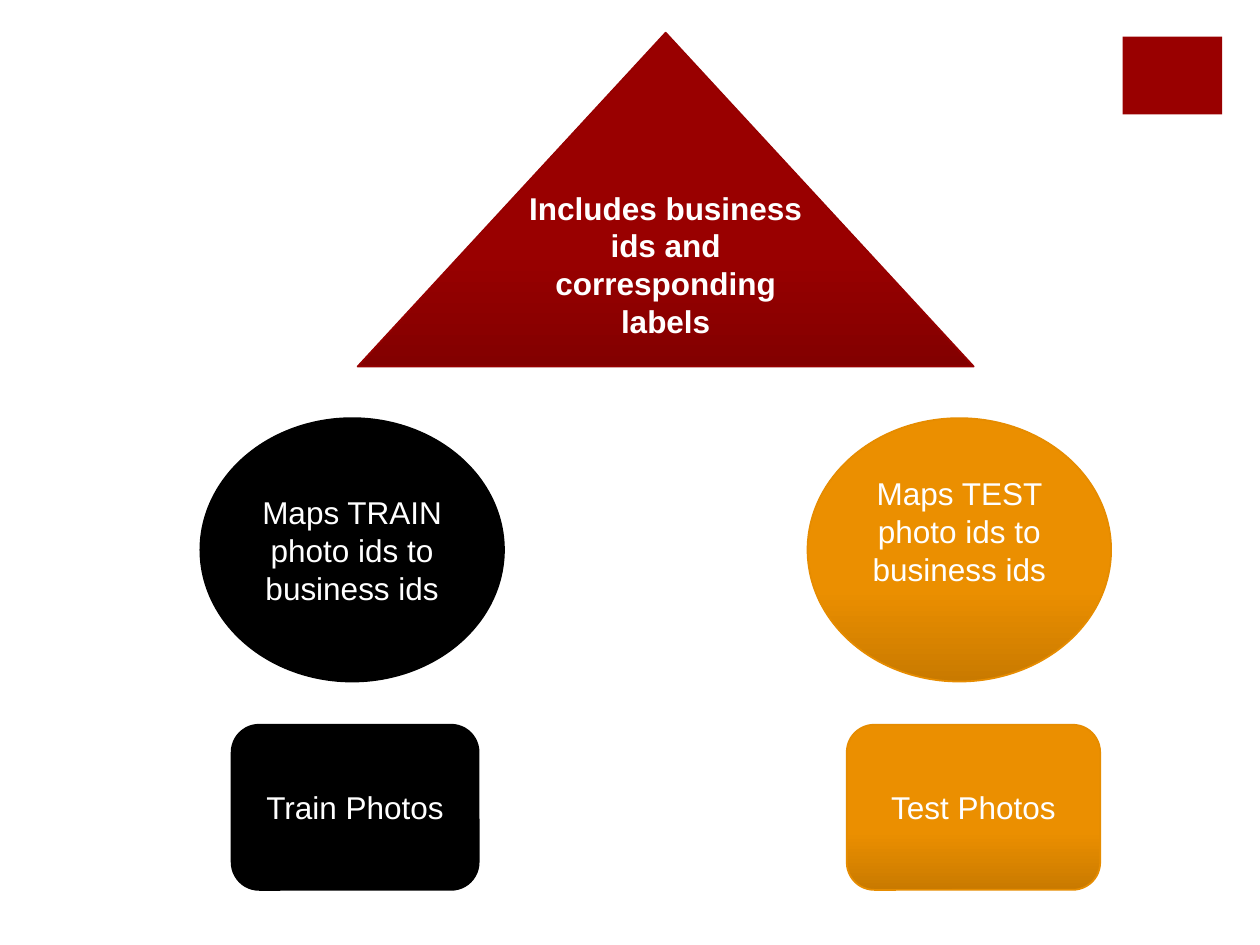
"""Build a slide that shows how business labels, photo ids and photos relate."""
from pptx import Presentation
from pptx.dml.color import RGBColor
from pptx.enum.shapes import MSO_SHAPE
from pptx.enum.text import MSO_ANCHOR, PP_ALIGN
from pptx.util import Cm, Pt

RECTANGLE = MSO_SHAPE.RECTANGLE
ROUNDED = MSO_SHAPE.ROUNDED_RECTANGLE
OVAL = MSO_SHAPE.OVAL
TRIANGLE = MSO_SHAPE.ISOSCELES_TRIANGLE
MIDDLE = MSO_ANCHOR.MIDDLE
CENTER = PP_ALIGN.CENTER

BLACK = ("000000", "000000", "000000")
ORANGE = ("C97A00", "EB8F00", "E68C00")
RED = ("830000", "990000", "960000")
PHOTO_TOP, PHOTO_HEIGHT = 14.61, 3.33
MAP_TOP, MAP_WIDTH, MAP_HEIGHT = 8.43, 6.12, 5.31
LINE_HEIGHT = 0.76


def color(value):
    return RGBColor.from_string(value)


def write(shape, text, bold=False, lift=0):
    frame = shape.text_frame
    frame.word_wrap = True
    frame.vertical_anchor = MIDDLE
    frame.margin_bottom = Cm(0.13 + lift)
    paragraph = frame.paragraphs[0]
    paragraph.alignment = CENTER
    run = paragraph.add_run()
    run.text = text
    run.font.name = "Arial"
    run.font.size = Pt(18)
    run.font.bold = bold
    run.font.color.rgb = color("FFFFFF")


presentation = Presentation()
presentation.slide_width = Cm(25.4)
presentation.slide_height = Cm(19.05)
slide = presentation.slides.add_slide(presentation.slide_layouts[6])

corner = slide.shapes.add_shape(RECTANGLE, Cm(22.63), Cm(0.74), Cm(2.01), Cm(1.57))
corner.shadow.inherit = False
corner.fill.solid()
corner.fill.fore_color.rgb = color("990000")
corner.line.fill.background()

nodes = [
    (ROUNDED, (4.67, PHOTO_TOP, 4.98, PHOTO_HEIGHT), BLACK,
     "Train Photos", {}),
    (ROUNDED, (17.07, PHOTO_TOP, 5.11, PHOTO_HEIGHT), ORANGE,
     "Test Photos", {}),
    (OVAL, (4.04, MAP_TOP, MAP_WIDTH, MAP_HEIGHT), BLACK,
     "Maps TRAIN photo ids to business ids", {}),
    (OVAL, (16.28, MAP_TOP, MAP_WIDTH, MAP_HEIGHT), ORANGE,
     "Maps TEST photo ids to business ids", {"lift": LINE_HEIGHT}),
    (TRIANGLE, (7.21, 0.66, 12.42, 6.73), RED,
     "Includes business ids and corresponding labels",
     {"bold": True, "lift": LINE_HEIGHT}),
]

for kind, box, (dark, main, outline), text, text_format in nodes:
    shape = slide.shapes.add_shape(kind, *(Cm(length) for length in box))
    shape.shadow.inherit = False
    if dark == main:
        shape.fill.solid()
        shape.fill.fore_color.rgb = color(main)
    else:
        shape.fill.gradient()
        shape.fill.gradient_angle = 90
        start, end = shape.fill.gradient_stops
        start.position, start.color.rgb = 0, color(dark)
        end.position, end.color.rgb = 0.35, color(main)
    shape.line.color.rgb = color(outline)
    shape.line.width = Pt(1)
    write(shape, text, **text_format)

presentation.save("out.pptx")
